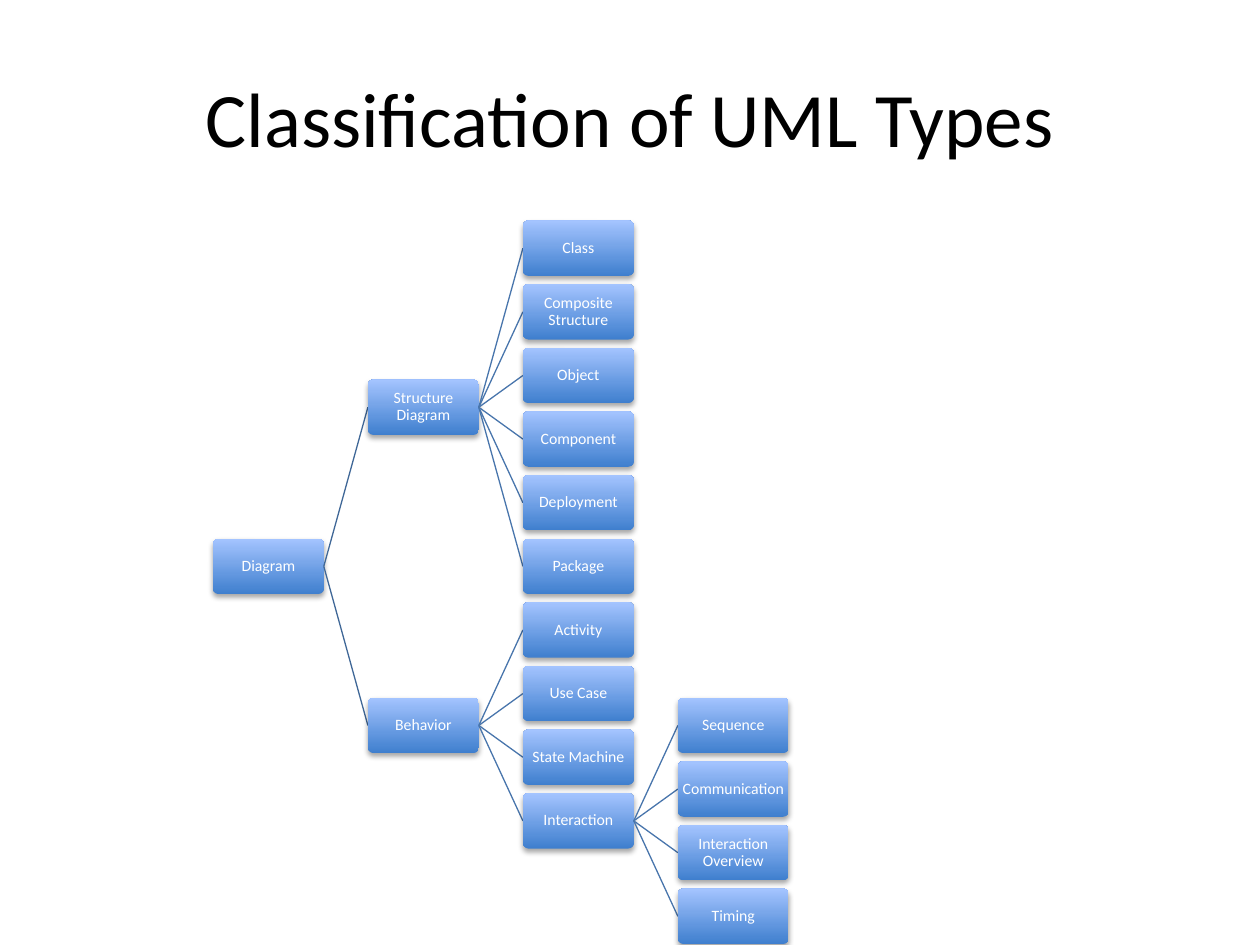
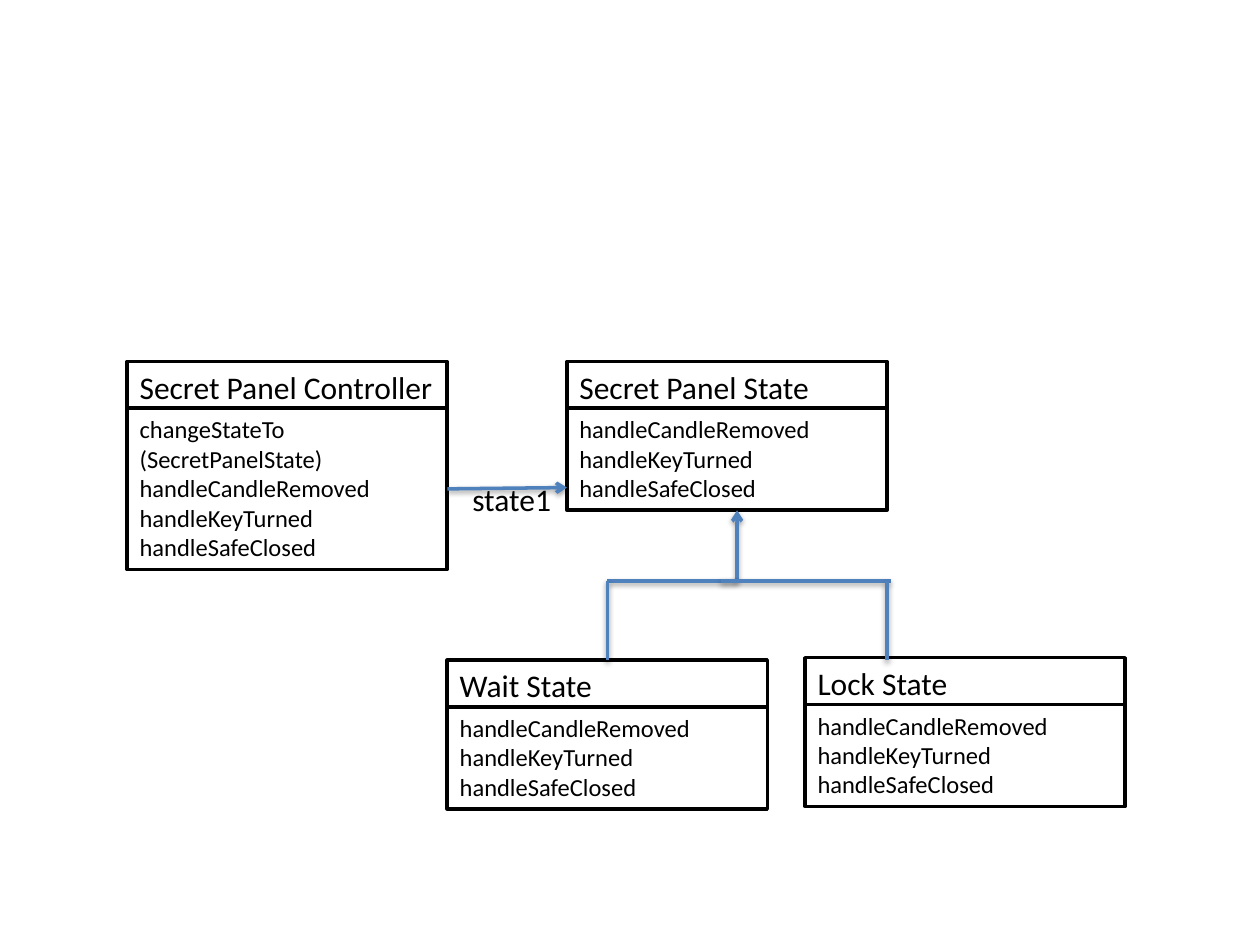
from lxml.etree import SubElement
from pptx import Presentation
from pptx.dml.color import RGBColor
from pptx.enum.shapes import MSO_CONNECTOR, MSO_SHAPE
from pptx.enum.text import MSO_ANCHOR, MSO_AUTO_SIZE, PP_ALIGN
from pptx.oxml.ns import qn
from pptx.util import Inches, Pt

FONT = "Calibri"
BLACK, WHITE = "000000", "FFFFFF"
NODE_BOTTOM, NODE_TOP = "3F7FCE", "A4C4FF"
LINK_COLORS = ["3F6797", "4875AC", "4875AC"]
RELATION = "4F81BD"

NODE_W, NODE_H = 0.88, 0.44
TREE_LEFT, TREE_TOP = 1.69, 1.75
COLUMN_STEP, ROW_STEP = 1.23, 0.505
ROOT_ROW = 5
ROW_GAPS = [5, 1, 1]

DIAGRAM_TREE = ("Diagram", [
    ("Structure Diagram", [(name, []) for name in (
        "Class", "Composite Structure", "Object",
        "Component", "Deployment", "Package")]),
    ("Behavior", [
        ("Activity", []),
        ("Use Case", []),
        ("State Machine", []),
        ("Interaction", [(name, []) for name in (
            "Sequence", "Communication", "Interaction Overview", "Timing")]),
    ]),
])

CLASS_W, HEADER_H, HEADER_STEP = 2.54, 0.4, 0.37
HANDLERS = ["handleCandleRemoved", "handleKeyTurned", "handleSafeClosed"]
CONTROLLER_METHODS = ["changeStateTo (SecretPanelState)"] + HANDLERS
CLASSES = [
    ("Secret Panel Controller", 1.01, 2.87, 1.28, CONTROLLER_METHODS),
    ("Secret Panel State", 4.5, 2.87, 0.81, HANDLERS),
    ("Wait State", 3.55, 5.24, 0.81, HANDLERS),
    ("Lock State", 6.39, 5.22, 0.81, HANDLERS),
]
RELATIONS = [
    ((3.55, 3.88), (4.5, 3.87), True),
    ((5.85, 4.61), (5.85, 4.05), True),
    ((4.82, 4.61), (5.85, 4.61), False),
    ((5.72, 4.61), (7.07, 4.61), False),
    ((7.04, 4.61), (7.04, 5.24), False),
    ((4.82, 4.61), (4.82, 5.24), False),
]


def rgb(value):
    return RGBColor.from_string(value)


def write_text(frame, text, size=18, color=BLACK, align=PP_ALIGN.LEFT,
               anchor=MSO_ANCHOR.TOP, wrap=True, spacing=1.0, inset=None,
               fit=MSO_AUTO_SIZE.NONE):
    frame.word_wrap = wrap
    frame.auto_size = fit
    frame.vertical_anchor = anchor
    if inset is not None:
        frame.margin_left = frame.margin_right = Inches(inset)
        frame.margin_top = frame.margin_bottom = Inches(inset)
    frame.text = text
    for paragraph in frame.paragraphs:
        paragraph.alignment = align
        paragraph.line_spacing = spacing
        paragraph.font.name = FONT
        paragraph.font.size = Pt(size)
        paragraph.font.color.rgb = rgb(color)


def add_shadow(effects, opacity, distance):
    shadow = SubElement(effects, qn("a:outerShdw"), blurRad=str(Pt(3.1)),
                        dist=str(Pt(distance)), dir="5400000", rotWithShape="0")
    tone = SubElement(shadow, qn("a:srgbClr"), val=BLACK)
    SubElement(tone, qn("a:alpha"), val=str(opacity * 1000))


class Deck:
    def __init__(self):
        self.presentation = Presentation()
        self.presentation.slide_width = Inches(10)
        self.presentation.slide_height = Inches(7.5)
        self.slide = None

    def new_slide(self):
        blank = self.presentation.slide_layouts[6]
        self.slide = self.presentation.slides.add_slide(blank)

    def label(self, text, left, top, width, height, **text_format):
        box = self.slide.shapes.add_textbox(
            Inches(left), Inches(top), Inches(width), Inches(height))
        write_text(box.text_frame, text, **text_format)

    def shape(self, kind, left, top, width, height):
        shape = self.slide.shapes.add_shape(
            kind, Inches(left), Inches(top), Inches(width), Inches(height))
        shape.shadow.inherit = False
        return shape

    def node(self, text, left, top):
        node = self.shape(MSO_SHAPE.ROUNDED_RECTANGLE, left, top, NODE_W, NODE_H)
        node.adjustments[0] = 0.1
        node.line.fill.background()
        node.fill.gradient()
        node.fill.gradient_angle = 90
        for stop, color in zip(node.fill.gradient_stops, (NODE_BOTTOM, NODE_TOP)):
            stop.color.rgb = rgb(color)
        add_shadow(node.element.spPr.find(qn("a:effectLst")), 35, 1.8)
        write_text(node.text_frame, text, size=9, color=WHITE, spacing=0.9,
                   align=PP_ALIGN.CENTER, anchor=MSO_ANCHOR.MIDDLE, inset=0.02)

    def compartment(self, text, left, top, height, size):
        box = self.shape(MSO_SHAPE.RECTANGLE, left, top, CLASS_W, height)
        box.fill.solid()
        box.fill.fore_color.rgb = rgb(WHITE)
        box.line.color.rgb = rgb(BLACK)
        box.line.width = Pt(2)
        write_text(box.text_frame, text, size=size,
                   fit=MSO_AUTO_SIZE.SHAPE_TO_FIT_TEXT)

    def class_box(self, name, left, top, body_height, methods):
        self.compartment(name, left, top, HEADER_H, 18)
        self.compartment("\n".join(methods), left, top + HEADER_STEP,
                         body_height, 14)

    def line(self, start, end, color, width, arrow=False, shadow=False):
        line = self.slide.shapes.add_connector(
            MSO_CONNECTOR.STRAIGHT, *map(Inches, start + end))
        line.line.color.rgb = rgb(color)
        line.line.width = Pt(width)
        properties = line.element.spPr
        if arrow:
            SubElement(properties.find(qn("a:ln")), qn("a:tailEnd"), type="arrow")
        effects = SubElement(properties, qn("a:effectLst"))
        if shadow:
            add_shadow(effects, 38, 1.6)

    def tree(self, branch, row, column=0):
        name, children = branch
        left = TREE_LEFT + column * COLUMN_STEP
        top = TREE_TOP + row * ROW_STEP
        middle = top + NODE_H / 2
        self.node(name, left, top)
        for index, child in enumerate(children):
            offset = (index - (len(children) - 1) / 2) * ROW_GAPS[column]
            self.line((left + NODE_W, middle),
                      (left + COLUMN_STEP, middle + offset * ROW_STEP),
                      LINK_COLORS[column], 0.75)
            self.tree(child, row + offset, column + 1)


def main():
    deck = Deck()

    deck.new_slide()
    deck.label("Classification of UML Types", 0.5, 0.3, 9, 1.25, size=44,
               align=PP_ALIGN.CENTER, anchor=MSO_ANCHOR.MIDDLE)
    deck.tree(DIAGRAM_TREE, ROOT_ROW)

    deck.new_slide()
    for class_details in CLASSES:
        deck.class_box(*class_details)
    for start, end, arrow in RELATIONS:
        deck.line(start, end, RELATION, 2, arrow=arrow, shadow=True)
    deck.label("state1", 3.65, 3.76, 0.84, 0.4, wrap=False,
               fit=MSO_AUTO_SIZE.SHAPE_TO_FIT_TEXT)

    deck.presentation.save("out.pptx")


if __name__ == "__main__":
    main()
